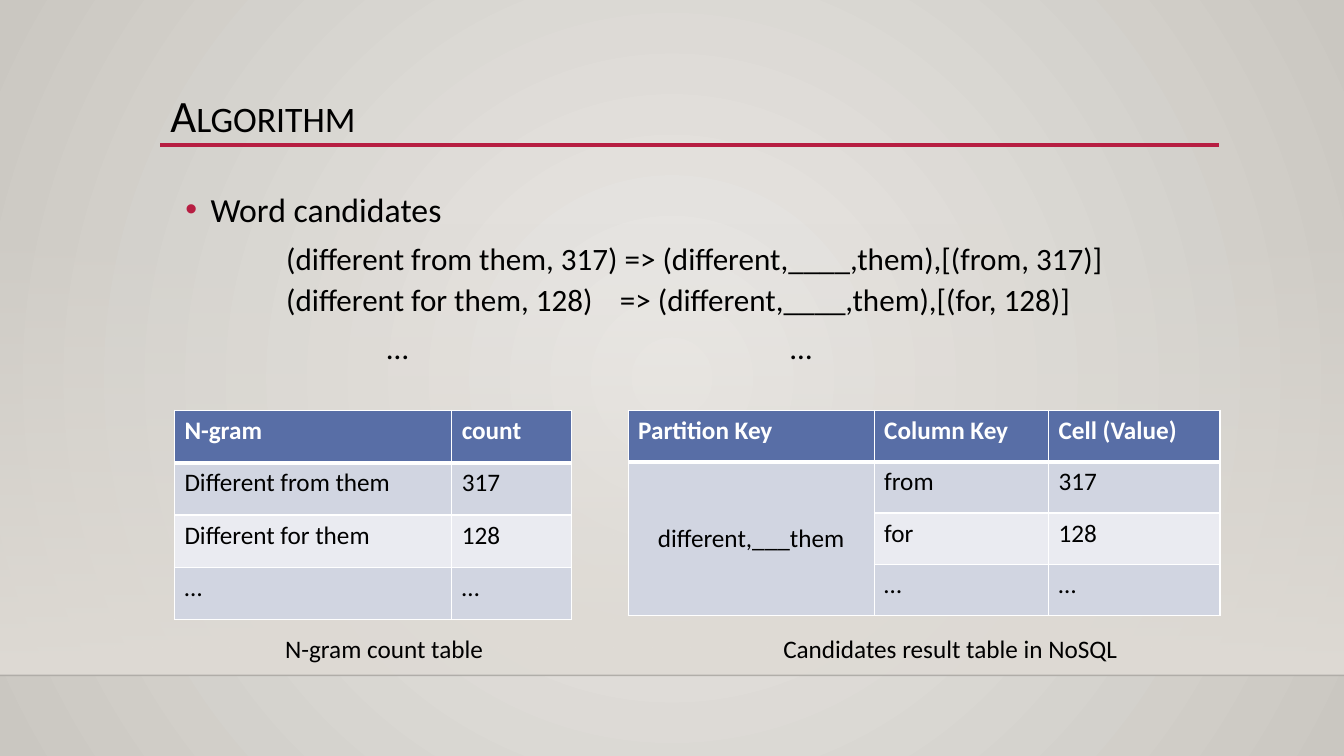
from lxml import etree
from pptx import Presentation
from pptx.dml.color import RGBColor
from pptx.enum.shapes import MSO_CONNECTOR, MSO_SHAPE
from pptx.enum.text import MSO_ANCHOR, MSO_AUTO_SIZE, PP_ALIGN
from pptx.oxml.ns import qn
from pptx.util import Inches, Pt

STRAIGHT, RECTANGLE = MSO_CONNECTOR.STRAIGHT, MSO_SHAPE.RECTANGLE
TOP, MIDDLE = MSO_ANCHOR.TOP, MSO_ANCHOR.MIDDLE
LEFT, CENTER = PP_ALIGN.LEFT, PP_ALIGN.CENTER
NO_FIT = MSO_AUTO_SIZE.NONE

FONT = "Calibri"
BLACK = RGBColor(0x00, 0x00, 0x00)
WHITE = RGBColor(0xFF, 0xFF, 0xFF)
CRIMSON = RGBColor(0xB7, 0x1E, 0x42)
HEADER_BLUE = RGBColor(0x58, 0x6E, 0xA6)
BAND_DARK = RGBColor(0xD1, 0xD5, 0xE1)
BAND_LIGHT = RGBColor(0xEA, 0xEB, 0xF1)
GLOW_CENTRE = RGBColor(0xEC, 0xEA, 0xE7)
GLOW_EDGE = RGBColor(0xCA, 0xC7, 0xC1)
FLOOR = RGBColor(0xDF, 0xDB, 0xD5)

SLIDE_WIDTH, SLIDE_HEIGHT = 13.33, 7.5
FLOOR_Y = 6.7


def add_xml(parent, tag, **attributes):
    return etree.SubElement(parent, qn(tag), attributes)


def set_font(paragraph, size, color=BLACK, bold=False):
    font = paragraph.font
    font.name, font.size, font.bold = FONT, Pt(size), bold
    font.color.rgb = color


def set_stops(fill, *colors):
    fill.gradient()
    for stop, color in zip(fill.gradient_stops, colors):
        stop.color.rgb = color


def set_opacity(element, percent):
    color = next(element.iter(qn("a:srgbClr")))
    add_xml(color, "a:alpha", val=str(percent * 1000))


def add_rule(slide, left, y, width, color, weight):
    rule = slide.shapes.add_connector(
        STRAIGHT, Inches(left), Inches(y), Inches(left + width), Inches(y))
    rule.line.color.rgb = color
    rule.line.width = Pt(weight)
    add_xml(rule._element.spPr, "a:effectLst")
    return rule


def add_backdrop(slide):
    # Radial glow over the whole slide
    set_stops(slide.background.fill, GLOW_CENTRE, GLOW_EDGE)
    glow = next(slide._element.iter(qn("a:gradFill")))
    glow.remove(glow.find(qn("a:lin")))
    circle = add_xml(glow, "a:path", path="circle")
    add_xml(circle, "a:fillToRect", l="50000", t="50000", r="50000", b="50000")

    # Wall fading in towards the floor line
    wall_top = 2.21
    wall = slide.shapes.add_shape(
        RECTANGLE, 0, Inches(wall_top),
        Inches(SLIDE_WIDTH), Inches(FLOOR_Y - wall_top))
    wall.shadow.inherit = False
    wall.line.fill.background()
    set_stops(wall.fill, FLOOR, FLOOR)
    wall.fill.gradient_angle = 270
    set_opacity(wall._element.spPr, 0)

    floor_line = add_rule(slide, 0, FLOOR_Y, SLIDE_WIDTH, BLACK, 1)
    set_opacity(floor_line._element.spPr, 20)


def add_title(slide, text, left, top, width, height):
    title = slide.shapes.title
    title.left, title.top = Inches(left), Inches(top)
    title.width, title.height = Inches(width), Inches(height)
    frame = title.text_frame
    frame.text = text
    frame.auto_size = NO_FIT
    frame.vertical_anchor = TOP
    heading = frame.paragraphs[0]
    heading.alignment = LEFT
    heading.line_spacing = 0.9
    set_font(heading, 32)
    heading._p.pPr.find(qn("a:defRPr")).set("cap", "small")
    add_rule(slide, left, 1.44, width, CRIMSON, 2.5)


def set_tabs(paragraph, *positions):
    tabs = add_xml(paragraph._p.get_or_add_pPr(), "a:tabLst")
    for position in positions:
        add_xml(tabs, "a:tab", pos=str(Inches(position)), algn="l")


def add_word_candidates(slide, left, top, width, height):
    body = slide.shapes.add_textbox(
        Inches(left), Inches(top), Inches(width), Inches(height))
    frame = body.text_frame
    frame.word_wrap = True
    frame.text = (
        "Word candidates\n"
        "\t(different from them, 317) => (different,____,them),[(from, 317)]\v"
        "\t(different for them, 128)\t=> (different,____,them),[(for, 128)]\n"
        "\t…\t…")
    topic, examples, more = frame.paragraphs
    for paragraph in frame.paragraphs:
        paragraph.line_spacing = 1.1
        paragraph.space_before = Pt(5)

    # Bulleted topic
    bullet = topic._p.get_or_add_pPr()
    bullet.set("marL", str(Inches(0.75)))
    bullet.set("indent", str(Inches(-0.25)))
    add_xml(add_xml(bullet, "a:buClr"), "a:srgbClr", val=str(CRIMSON))
    add_xml(bullet, "a:buFont", typeface="Arial")
    add_xml(bullet, "a:buChar", char="•")

    # Examples aligned on tab stops
    set_tabs(examples, 1.5, 4.81)
    set_tabs(more, 2.5, 6.5)
    for paragraph, size in ((topic, 24.1), (examples, 22.2), (more, 22.2)):
        set_font(paragraph, size)


def set_borders(cell, is_header, below_header):
    properties = cell._tc.get_or_add_tcPr()
    weights = {"a:lnL": 1, "a:lnR": 1,
               "a:lnT": 3 if below_header else 1,
               "a:lnB": 3 if is_header else 1}
    for tag, weight in weights.items():
        border = add_xml(properties, tag, w=str(Pt(weight)))
        add_xml(add_xml(border, "a:solidFill"), "a:srgbClr", val=str(WHITE))


def add_data_table(slide, rows, left, top, column_widths, row_height):
    table = slide.shapes.add_table(
        len(rows), len(column_widths), Inches(left), Inches(top),
        Inches(sum(column_widths)), Inches(row_height * len(rows))).table
    for column, width in zip(table.columns, column_widths):
        column.width = Inches(width)
    for r, values in enumerate(rows):
        table.rows[r].height = Inches(row_height)
        is_header = r == 0
        band = HEADER_BLUE if is_header else BAND_DARK if r % 2 else BAND_LIGHT
        for c, value in enumerate(values):
            cell = table.cell(r, c)
            cell.text = value
            set_borders(cell, is_header, r == 1)
            cell.fill.solid()
            cell.fill.fore_color.rgb = band
            set_font(cell.text_frame.paragraphs[0], 18,
                     WHITE if is_header else BLACK, is_header)
    return table


def add_caption(slide, text, left, top, width):
    caption = slide.shapes.add_textbox(
        Inches(left), Inches(top), Inches(width), Inches(0.4))
    caption.text_frame.text = text
    set_font(caption.text_frame.paragraphs[0], 18)


def add_ngram_counts(slide, left, top):
    rows = [("N-gram", "count"), ("Different from them", "317"),
            ("Different for them", "128"), ("…", "…")]
    add_data_table(slide, rows, left, top, (2.75, 1.19), 0.52)
    add_caption(slide, "N-gram count table", left + 1, top + 2.16, 2.21)


def add_candidate_results(slide, left, top):
    rows = [("Partition Key", "Column Key", "Cell (Value)"),
            ("different,___them", "from", "317"),
            ("", "for", "128"), ("", "…", "…")]
    table = add_data_table(slide, rows, left, top, (2.44, 1.73, 1.7), 0.51)
    partition = table.cell(1, 0)
    partition.merge(table.cell(3, 0))
    partition.vertical_anchor = MIDDLE
    partition.text_frame.paragraphs[0].alignment = CENTER
    add_caption(slide, "Candidates result table in NoSQL",
                left + 1.44, top + 2.16, 3.52)


def main():
    deck = Presentation()
    deck.slide_width, deck.slide_height = Inches(SLIDE_WIDTH), Inches(SLIDE_HEIGHT)
    slide = deck.slides.add_slide(deck.slide_layouts[5])
    add_backdrop(slide)
    add_title(slide, "Algorithm", 1.59, 0.88, 10.5, 1.15)
    add_word_candidates(slide, 1.24, 1.78, 10.5, 1.99)
    add_candidate_results(slide, 6.23, 4.07)
    add_ngram_counts(slide, 1.73, 4.07)
    deck.save("out.pptx")


if __name__ == "__main__":
    main()
